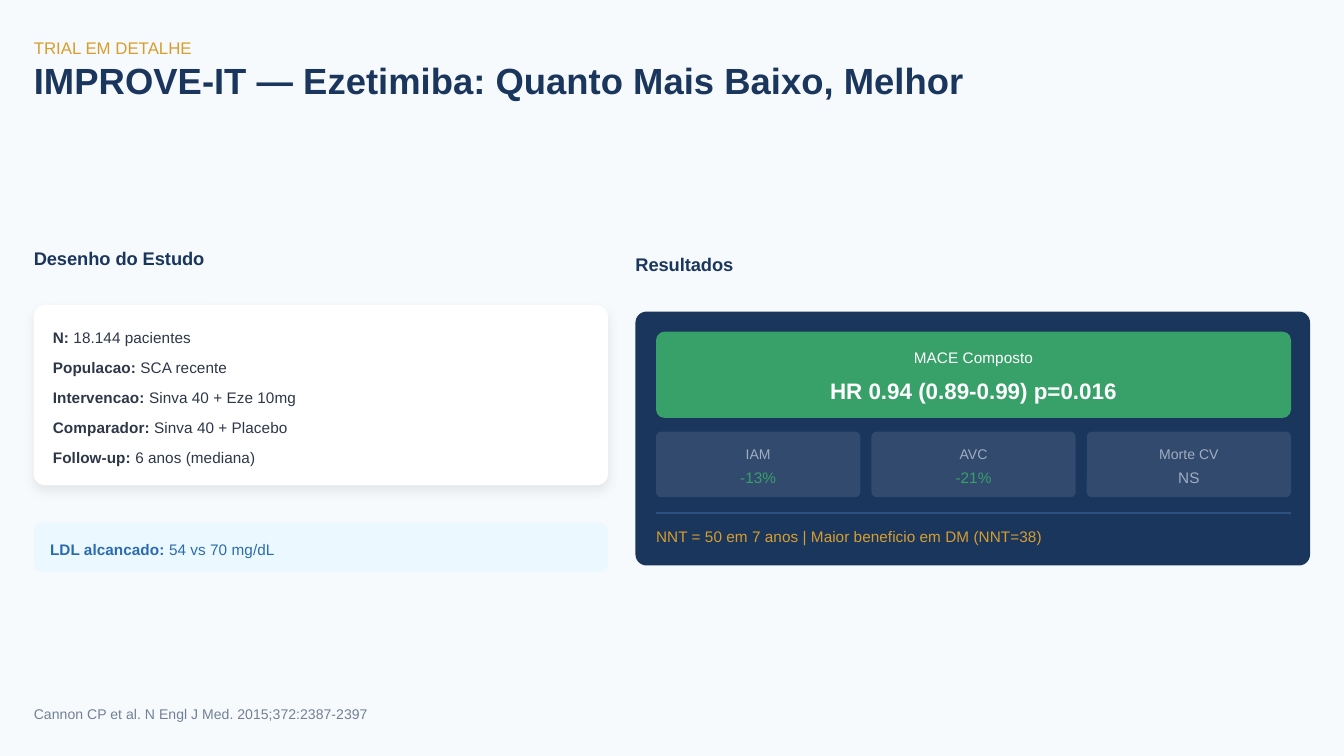
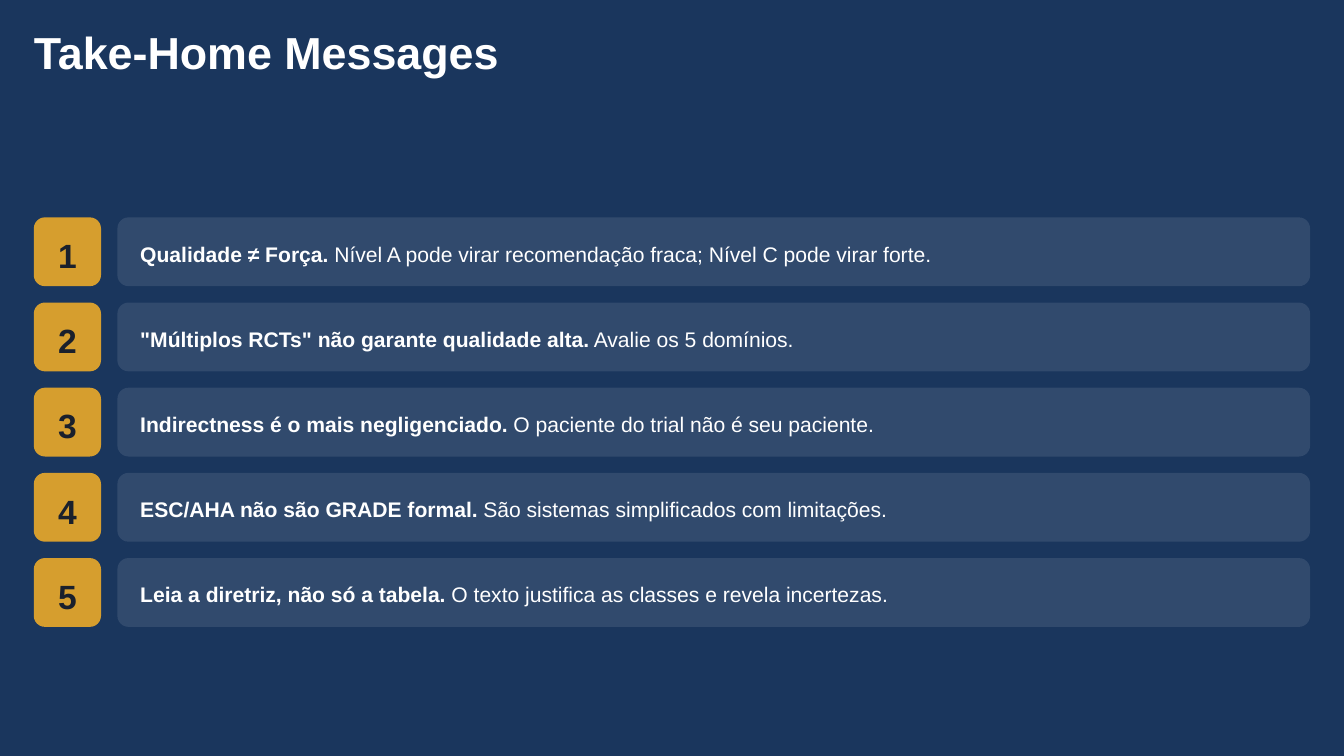
from lxml.etree import SubElement
from pptx import Presentation
from pptx.dml.color import RGBColor
from pptx.enum.shapes import MSO_CONNECTOR, MSO_SHAPE
from pptx.enum.text import MSO_ANCHOR, MSO_AUTO_SIZE, PP_ALIGN
from pptx.oxml.ns import qn
from pptx.util import Cm, Pt

NAVY = RGBColor(0x1A, 0x36, 0x5D)
GOLD = RGBColor(0xD6, 0x9E, 0x2E)
GREEN = RGBColor(0x38, 0xA1, 0x69)
WHITE = RGBColor(0xFF, 0xFF, 0xFF)
PAPER = RGBColor(0xF7, 0xFA, 0xFC)
ICE = RGBColor(0xEB, 0xF8, 0xFF)
BLUE = RGBColor(0x2B, 0x6C, 0xB0)
RULE = RGBColor(0x2C, 0x52, 0x82)
INK = RGBColor(0x1A, 0x20, 0x2C)
TEXT = RGBColor(0x2D, 0x37, 0x48)
SILVER = RGBColor(0xA0, 0xAE, 0xC0)
GRAY = RGBColor(0x71, 0x80, 0x96)

FONT = "Arial"
MARGIN = 0.64
FULL_WIDTH = 24.6
SMALL, BODY, HEADING, MESSAGE = 7.5, 8.25, 9.75, 11.25
LARGE_RADIUS, MEDIUM_RADIUS, SMALL_RADIUS = 0.21, 0.16, 0.1

TRIAL_TITLE = "IMPROVE-IT — Ezetimiba: Quanto Mais Baixo, Melhor"
EYEBROW = "TRIAL EM DETALHE"
DESIGN = [
    ("N:", " 18.144 pacientes"),
    ("Populacao:", " SCA recente"),
    ("Intervencao:", " Sinva 40 + Eze 10mg"),
    ("Comparador:", " Sinva 40 + Placebo"),
    ("Follow-up:", " 6 anos (mediana)"),
]
LDL = ("LDL alcancado:", " 54 vs 70 mg/dL")
MACE = ("MACE Composto", "HR 0.94 (0.89-0.99) p=0.016")
OUTCOMES = [("IAM", "-13%", GREEN), ("AVC", "-21%", GREEN), ("Morte CV", "NS", SILVER)]
BENEFIT = "NNT = 50 em 7 anos | Maior beneficio em DM (NNT=38)"
CITATION = "Cannon CP et al. N Engl J Med. 2015;372:2387-2397"

MESSAGES_TITLE = "Take-Home Messages"
MESSAGES = [
    ("Qualidade ≠ Força.", " Nível A pode virar recomendação fraca; Nível C pode virar forte."),
    ('"Múltiplos RCTs" não garante qualidade alta.', " Avalie os 5 domínios."),
    ("Indirectness é o mais negligenciado.", " O paciente do trial não é seu paciente."),
    ("ESC/AHA não são GRADE formal.", " São sistemas simplificados com limitações."),
    ("Leia a diretriz, não só a tabela.", " O texto justifica as classes e revela incertezas."),
]


def prepare_frame(shape, anchor=MSO_ANCHOR.TOP, inset=0):
    frame = shape.text_frame
    frame.word_wrap = True
    frame.auto_size = MSO_AUTO_SIZE.NONE
    frame.vertical_anchor = anchor
    frame.margin_left = Cm(inset)
    frame.margin_top = frame.margin_right = frame.margin_bottom = 0
    return frame


def write(paragraph, content, size, color, bold=False, align=PP_ALIGN.LEFT, spacing=1.4, before=0, after=0):
    paragraph.alignment = align
    paragraph.line_spacing = Pt(size * spacing)
    paragraph.space_before = Pt(before)
    paragraph.space_after = Pt(after)
    paragraph.font.name = FONT
    paragraph.font.size = Pt(size)
    paragraph.font.color.rgb = color
    if isinstance(content, str):
        paragraph.font.bold = bold
        paragraph.add_run().text = content
        return
    for text, is_lead in zip(content, (True, False)):
        run = paragraph.add_run()
        run.text = text
        run.font.bold = is_lead


def add_text(slide, left, top, width, content, size, color, bold=False):
    box = slide.shapes.add_textbox(Cm(left), Cm(top), Cm(width), Pt(size * 1.4))
    write(prepare_frame(box).paragraphs[0], content, size, color, bold)


def add_card(slide, left, top, width, height, radius, color, alpha=None, inset=0):
    card = slide.shapes.add_shape(MSO_SHAPE.ROUNDED_RECTANGLE, Cm(left), Cm(top), Cm(width), Cm(height))
    card.adjustments[0] = radius / min(width, height)
    card.shadow.inherit = False
    card.fill.solid()
    card.fill.fore_color.rgb = color
    card.line.fill.background()
    if alpha:
        color_element = card._element.spPr.find(qn("a:solidFill")).find(qn("a:srgbClr"))
        SubElement(color_element, qn("a:alpha"), val=str(alpha * 1000))
    prepare_frame(card, MSO_ANCHOR.MIDDLE, inset)
    return card


def add_soft_shadow(shape):
    effects = shape._element.spPr.find(qn("a:effectLst"))
    shadow = SubElement(effects, qn("a:outerShdw"), blurRad=str(Pt(6)), dist=str(Pt(3)),
                        dir="5400000", algn="bl", rotWithShape="0")
    color = SubElement(shadow, qn("a:srgbClr"), val="000000")
    SubElement(color, qn("a:alpha"), val="8000")


def add_slide(presentation, layout, background, title, top, width, height, size, color):
    slide = presentation.slides.add_slide(presentation.slide_layouts[layout])
    slide.background.fill.solid()
    slide.background.fill.fore_color.rgb = background
    shape = slide.shapes.title
    shape.left, shape.top, shape.width, shape.height = Cm(MARGIN), Cm(top), Cm(width), Cm(height)
    write(prepare_frame(shape).paragraphs[0], title, size, color, bold=True, spacing=1)
    return slide


def add_design(slide):
    add_text(slide, MARGIN, 4.6, 11.07, "Desenho do Estudo", HEADING, NAVY, bold=True)
    card = add_card(slide, MARGIN, 5.77, 10.85, 3.4, LARGE_RADIUS, WHITE)
    add_soft_shadow(card)
    body = slide.placeholders[1]
    body.left, body.top, body.width, body.height = Cm(1), Cm(6.15), Cm(10.31), Cm(2.7)
    card._element.addnext(body._element)
    frame = prepare_frame(body)
    for index, item in enumerate(DESIGN):
        paragraph = frame.add_paragraph() if index else frame.paragraphs[0]
        properties = paragraph._p.get_or_add_pPr()
        properties.set("marL", "0")
        properties.set("indent", "0")
        SubElement(properties, qn("a:buNone"))
        write(paragraph, item, BODY, TEXT, after=4.5)
    target = add_card(slide, MARGIN, 9.88, 10.85, 0.94, MEDIUM_RADIUS, ICE, inset=0.26)
    write(target.text_frame.paragraphs[0], LDL, BODY, BLUE)


def add_results(slide):
    panel_left, inner_left, inner_width, gap = 12.01, 12.4, 12, 0.21
    add_text(slide, panel_left, 4.72, 13, "Resultados", HEADING, NAVY, bold=True)
    add_card(slide, panel_left, 5.89, 12.75, 4.8, LARGE_RADIUS, NAVY)

    mace = add_card(slide, inner_left, 6.27, inner_width, 1.63, MEDIUM_RADIUS, GREEN).text_frame
    write(mace.paragraphs[0], MACE[0], BODY, WHITE, align=PP_ALIGN.CENTER)
    write(mace.add_paragraph(), MACE[1], 12, WHITE, bold=True, align=PP_ALIGN.CENTER, before=3)

    cell_width = (inner_width - gap * (len(OUTCOMES) - 1)) / len(OUTCOMES)
    for index, (label, value, color) in enumerate(OUTCOMES):
        left = inner_left + index * (cell_width + gap)
        cell = add_card(slide, left, 8.16, cell_width, 1.24, SMALL_RADIUS, WHITE, alpha=10).text_frame
        write(cell.paragraphs[0], label, SMALL, SILVER, align=PP_ALIGN.CENTER)
        write(cell.add_paragraph(), value, BODY, color, align=PP_ALIGN.CENTER, before=1.5)

    divider = slide.shapes.add_connector(
        MSO_CONNECTOR.STRAIGHT, Cm(inner_left), Cm(9.7), Cm(inner_left + inner_width), Cm(9.7))
    divider.line.color.rgb = RULE
    divider.line.width = Pt(0.75)
    SubElement(divider._element.spPr, qn("a:effectLst"))
    add_text(slide, inner_left, 9.91, inner_width, BENEFIT, BODY, GOLD)


def build_trial(presentation):
    slide = add_slide(presentation, 1, PAPER, TRIAL_TITLE, 1.24, 17.9, 0.69, 19.5, NAVY)
    add_text(slide, MARGIN, 0.64, FULL_WIDTH, EYEBROW, 9, GOLD)
    add_design(slide)
    add_results(slide)
    add_text(slide, MARGIN, 13.28, FULL_WIDTH, CITATION, SMALL, GRAY)


def build_messages(presentation):
    slide = add_slide(presentation, 5, NAVY, MESSAGES_TITLE, 0.64, 12.34, 0.84, 24, WHITE)
    first_top, pitch, height = 4.11, 1.61, 1.3
    for index, message in enumerate(MESSAGES):
        top = first_top + index * pitch
        badge = add_card(slide, MARGIN, top, 1.27, height, LARGE_RADIUS, GOLD)
        write(badge.text_frame.paragraphs[0], str(index + 1), 18, INK, bold=True, align=PP_ALIGN.CENTER)
        card = add_card(slide, 2.22, top, 22.54, height, LARGE_RADIUS, WHITE, alpha=10, inset=0.37)
        write(card.text_frame.paragraphs[0], message, MESSAGE, WHITE)


def main():
    presentation = Presentation()
    presentation.slide_width = Cm(25.4)
    presentation.slide_height = Cm(14.29)
    build_trial(presentation)
    build_messages(presentation)
    presentation.save("out.pptx")


if __name__ == "__main__":
    main()
